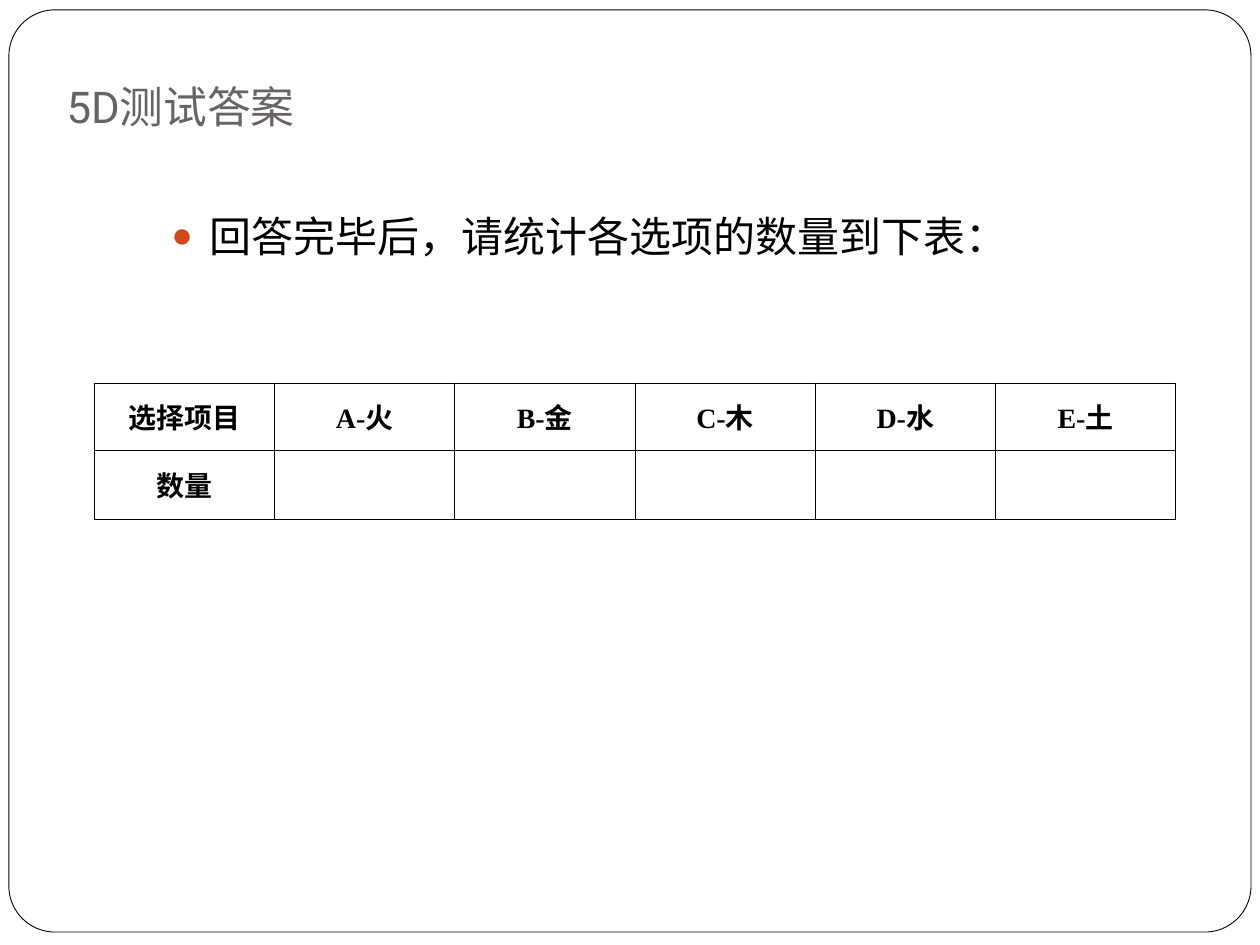
import dataclasses

import lxml.etree
import pptx
import pptx.dml.color
import pptx.enum.shapes
import pptx.enum.text
import pptx.oxml.ns
import pptx.util

Cm = pptx.util.Cm
Pt = pptx.util.Pt


@dataclasses.dataclass(frozen=True)
class Theme:
    paper: str = "FFFFFF"
    ink: str = "000000"
    heading: str = "696464"
    accent: str = "D34817"
    title_font: str = "Roboto"
    text_font: str = "Times New Roman"
    title_size: float = 25
    body_size: float = 24
    table_size: float = 16
    frame_width: float = 0.5
    border_width: float = 0.45


def rgb(color):
    return pptx.dml.color.RGBColor.from_string(color)


def add_xml(parent, tag, **attributes):
    return lxml.etree.SubElement(parent, pptx.oxml.ns.qn(tag), attributes)


class SlideBuilder:
    def __init__(self, slide, theme):
        self.slide = slide
        self.theme = theme

    def style(self, paragraph, font, size, color, bold=False):
        paragraph.font.name = font
        paragraph.font.size = Pt(size)
        paragraph.font.bold = bold
        paragraph.font.color.rgb = rgb(color)

    def place(self, holder, left, top, width, height):
        holder.left, holder.top = Cm(left), Cm(top)
        holder.width, holder.height = Cm(width), Cm(height)

    def frame(self, left, top, width, height, rounding):
        border = self.slide.shapes.add_shape(
            pptx.enum.shapes.MSO_SHAPE.ROUNDED_RECTANGLE,
            Cm(left), Cm(top), Cm(width), Cm(height))
        border.adjustments[0] = rounding
        border.shadow.inherit = False
        border.fill.solid()
        border.fill.fore_color.rgb = rgb(self.theme.paper)
        border.line.color.rgb = rgb(self.theme.ink)
        border.line.width = Pt(self.theme.frame_width)
        # Send behind the placeholders
        border._element.getparent().insert(2, border._element)

    def title(self, text, *box):
        heading = self.slide.shapes.title
        self.place(heading, *box)
        words = heading.text_frame
        words.text = text
        words.auto_size = pptx.enum.text.MSO_AUTO_SIZE.NONE
        words.vertical_anchor = pptx.enum.text.MSO_ANCHOR.BOTTOM
        words.margin_bottom = Cm(0.25)
        paragraph = words.paragraphs[0]
        paragraph.alignment = pptx.enum.text.PP_ALIGN.LEFT
        self.style(paragraph, self.theme.title_font, self.theme.title_size,
                   self.theme.heading)

    def bullet(self, text, *box):
        body = self.slide.placeholders[1]
        self.place(body, *box)
        words = body.text_frame
        words.text = text
        words.auto_size = pptx.enum.text.MSO_AUTO_SIZE.NONE
        paragraph = words.paragraphs[0]
        paragraph.line_spacing = 0.8
        paragraph.space_before = Pt(0)
        properties = paragraph._p.get_or_add_pPr()
        properties.set("marL", str(Cm(0.76)))
        properties.set("indent", str(-Cm(0.76)))
        bullet_color = add_xml(properties, "a:buClr")
        add_xml(bullet_color, "a:srgbClr", val=self.theme.accent)
        add_xml(properties, "a:buSzPct", val="85000")
        add_xml(properties, "a:buChar", char="●")
        self.style(paragraph, self.theme.text_font, self.theme.body_size,
                   self.theme.ink)

    def cell(self, cell, text):
        cell.text = text
        cell.vertical_anchor = pptx.enum.text.MSO_ANCHOR.MIDDLE
        paragraph = cell.text_frame.paragraphs[0]
        paragraph.alignment = pptx.enum.text.PP_ALIGN.CENTER
        self.style(paragraph, self.theme.text_font, self.theme.table_size,
                   self.theme.ink, bold=True)
        properties = cell._tc.get_or_add_tcPr()
        for side in "LRTB":
            edge = add_xml(properties, f"a:ln{side}",
                           w=str(Pt(self.theme.border_width)))
            add_xml(add_xml(edge, "a:solidFill"), "a:srgbClr",
                    val=self.theme.ink)
        cell.fill.background()

    def table(self, rows, left, top, width, row_heights):
        grid = self.slide.shapes.add_table(
            len(rows), len(rows[0]), Cm(left), Cm(top), Cm(width),
            Cm(sum(row_heights))).table
        for row, height, texts in zip(grid.rows, row_heights, rows):
            row.height = Cm(height)
            for cell, text in zip(row.cells, texts):
                self.cell(cell, text)


def main():
    deck = pptx.Presentation()
    deck.slide_width, deck.slide_height = Cm(25.4), Cm(19.05)
    page = SlideBuilder(deck.slides.add_slide(deck.slide_layouts[1]), Theme())

    # Rounded page border
    page.frame(0.18, 0.2, 25.04, 18.59, 0.05)

    # Heading and instruction
    page.title("5D测试答案", 1.09, 1.52, 18.8, 1.4)
    page.bullet("回答完毕后，请统计各选项的数量到下表：", 3.2, 4.31, 22.2, 13.62)

    # Answer tally
    options = ["选择项目", "A-火", "B-金", "C-木", "D-水", "E-土"]
    counts = ["数量"] + [""] * (len(options) - 1)
    page.table([options, counts], 1.9, 7.72, 21.8, [1.35, 1.4])

    deck.save("out.pptx")


if __name__ == "__main__":
    main()
